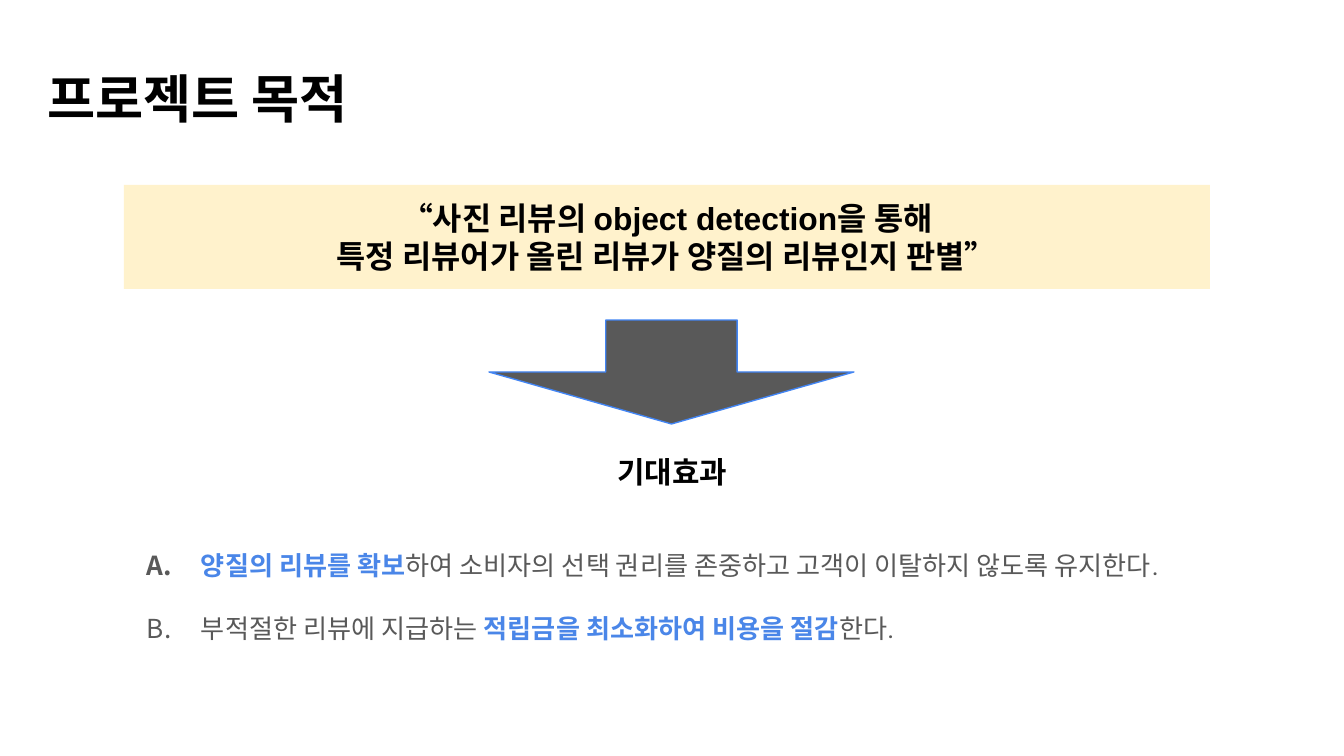
"""Build the project purpose slide with its expected effects."""
from pptx import Presentation
from pptx import util as u
from pptx.dml.color import RGBColor
from pptx.enum import shapes, text
from pptx.oxml import parse_xml
from pptx.oxml.ns import nsdecls

EMU_PER_PX = 914400 / 134.4
BLACK = RGBColor(0x00, 0x00, 0x00)
GRAY = RGBColor(0x59, 0x59, 0x59)
CREAM = RGBColor(0xFF, 0xF2, 0xCC)
ACCENT = RGBColor(0x4A, 0x86, 0xE8)
OUTLINE = RGBColor(0x42, 0x85, 0xF4)

EFFECTS = [
    [("양질의 리뷰를 확보", True),
     ("하여 소비자의 선택 권리를 존중하고 고객이 이탈하지 않도록 유지한다.", False)],
    [("부적절한 리뷰에 지급하는 ", False),
     ("적립금을 최소화하여 비용을 절감", True),
     ("한다.", False)],
]


def px(*lengths):
    return [u.Emu(round(length * EMU_PER_PX)) for length in lengths]


def prepare_frame(shape, anchor=text.MSO_ANCHOR.TOP):
    frame = shape.text_frame
    frame.word_wrap = True
    frame.vertical_anchor = anchor
    frame.margin_left, frame.margin_top, frame.margin_right, frame.margin_bottom = px(13, 13, 13, 13)
    return frame


def set_font(font, size, name, color, bold=None):
    font.size = u.Pt(size)
    font.name = name
    font.color.rgb = color
    font.bold = bold


def write_headings(frame, lines, size, alignment, spacing=None):
    for index, line in enumerate(lines):
        paragraph = frame.paragraphs[0] if index == 0 else frame.add_paragraph()
        paragraph.text = line
        paragraph.alignment = alignment
        paragraph.line_spacing = spacing
        set_font(paragraph.font, size, "Arial", BLACK, True)


def add_heading(slide, box, line, size, alignment, spacing=None):
    shape = slide.shapes.add_textbox(*px(*box))
    write_headings(prepare_frame(shape), [line], size, alignment, spacing)


def add_filled_shape(slide, kind, box, fill):
    shape = slide.shapes.add_shape(kind, *px(*box))
    shape.shadow.inherit = False
    shape.fill.solid()
    shape.fill.fore_color.rgb = fill
    shape.line.fill.background()
    return shape


def add_banner(slide, box, lines):
    shape = add_filled_shape(slide, shapes.MSO_SHAPE.RECTANGLE, box, CREAM)
    frame = prepare_frame(shape, text.MSO_ANCHOR.MIDDLE)
    write_headings(frame, lines, 17, text.PP_ALIGN.CENTER)


def add_arrow(slide, box):
    arrow = add_filled_shape(slide, shapes.MSO_SHAPE.DOWN_ARROW, box, GRAY)
    arrow.adjustments[0] = 0.36
    arrow.adjustments[1] = 0.5
    arrow.line.color.rgb = OUTLINE
    arrow.line.width = u.Pt(0.75)


def add_lettering(paragraph):
    properties = paragraph._p.get_or_add_pPr()
    margin, indent = px(109, -54)
    properties.set("marL", str(margin))
    properties.set("indent", str(indent))
    properties.append(parse_xml(
        f'<a:buClr {nsdecls("a")}><a:srgbClr val="{GRAY}"/></a:buClr>'))
    properties.append(parse_xml(
        f'<a:buFont {nsdecls("a")} typeface="Roboto"/>'))
    properties.append(parse_xml(
        f'<a:buAutoNum {nsdecls("a")} type="alphaUcPeriod"/>'))


def add_lettered_list(slide, box, items):
    frame = prepare_frame(slide.shapes.add_textbox(*px(*box)))
    for index, item in enumerate(items):
        paragraph = frame.paragraphs[0] if index == 0 else frame.add_paragraph()
        add_lettering(paragraph)
        paragraph.alignment = text.PP_ALIGN.JUSTIFY
        paragraph.line_spacing = 2.0
        for words, emphasized in item:
            run = paragraph.add_run()
            run.text = words
            set_font(run.font, 14, "Roboto", ACCENT if emphasized else GRAY, emphasized)


def main():
    presentation = Presentation()
    presentation.slide_width, presentation.slide_height = px(1344, 756)
    slide = presentation.slides.add_slide(presentation.slide_layouts[6])
    add_heading(slide, (35, 60, 1253, 85), "프로젝트 목적", 28, text.PP_ALIGN.LEFT, 0.9)
    add_lettered_list(slide, (79, 505, 1242, 220), EFFECTS)
    add_heading(slide, (581, 441, 183, 63), "기대효과", 16, text.PP_ALIGN.CENTER)
    add_banner(slide, (124, 185, 1086, 104),
               ["“사진 리뷰의 object detection을 통해",
                "특정 리뷰어가 올린 리뷰가 양질의 리뷰인지 판별”"])
    add_arrow(slide, (489, 320, 365, 104))
    presentation.save("out.pptx")


if __name__ == "__main__":
    main()
